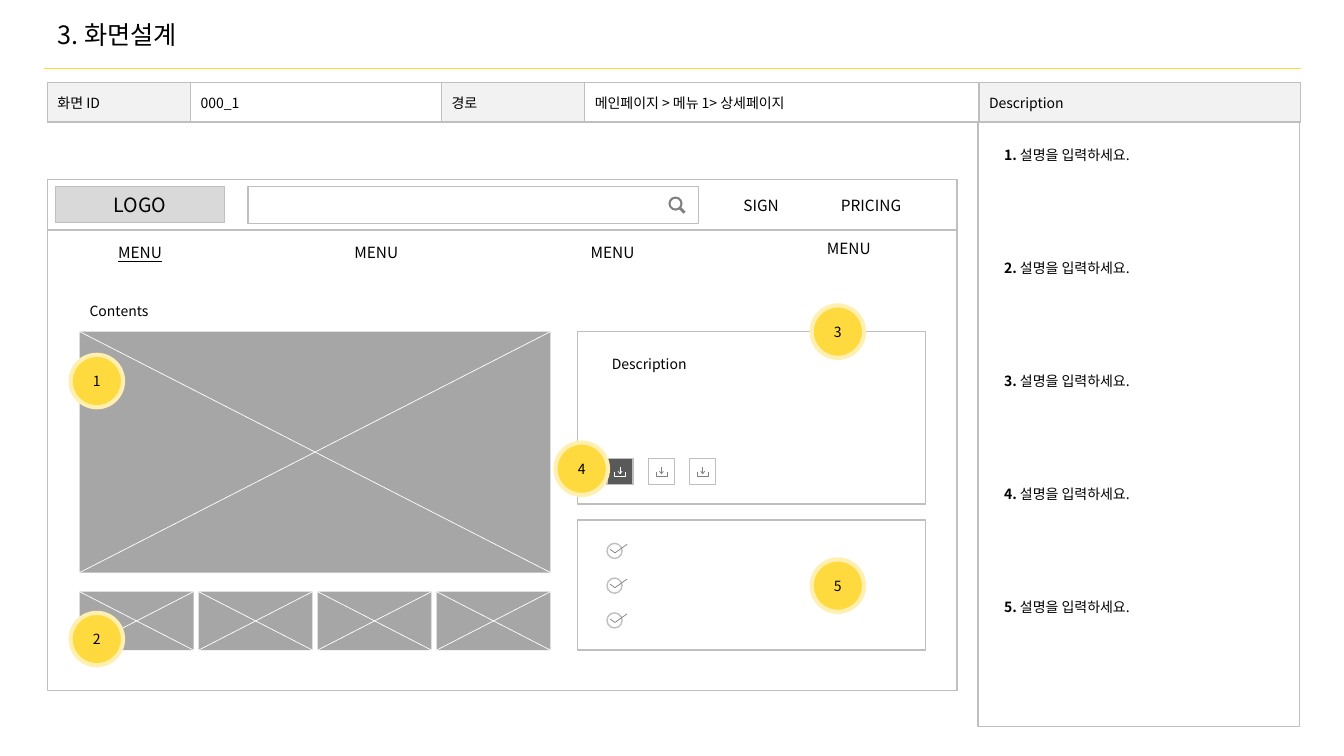
from collections import namedtuple

from lxml import etree
from pptx import Presentation
from pptx.dml.color import RGBColor
from pptx.enum.shapes import MSO_CONNECTOR, MSO_SHAPE
from pptx.enum.text import MSO_ANCHOR, PP_ALIGN
from pptx.oxml.ns import qn
from pptx.util import Inches, Pt

RECT, OVAL, DONUT = MSO_SHAPE.RECTANGLE, MSO_SHAPE.OVAL, MSO_SHAPE.DONUT
STRAIGHT = MSO_CONNECTOR.STRAIGHT
LEFT, CENTER = PP_ALIGN.LEFT, PP_ALIGN.CENTER
TOP, MIDDLE = MSO_ANCHOR.TOP, MSO_ANCHOR.MIDDLE

BLACK = RGBColor(0x00, 0x00, 0x00)
WHITE = RGBColor(0xFF, 0xFF, 0xFF)
YELLOW = RGBColor(0xFF, 0xDA, 0x3F)
CREAM = RGBColor(0xFF, 0xF0, 0xB2)
PALE = RGBColor(0xF2, 0xF2, 0xF2)
LIGHT = RGBColor(0xD9, 0xD9, 0xD9)
BORDER = RGBColor(0xBF, 0xBF, 0xBF)
GRAY = RGBColor(0xA6, 0xA6, 0xA6)
ICON = RGBColor(0x80, 0x80, 0x80)
DARK = RGBColor(0x59, 0x59, 0x59)
FONT = "Noto Sans CJK KR"
CELL = Inches(0.1)


class Box(namedtuple("Box", "x y w h")):
    """An area counted in grid columns and rows."""

    def sub(self, x, y, w, h):
        """Return an area placed from this one's top left corner."""
        return Box(self.x + x, self.y + y, w, h)

    def emu(self):
        """Return left, top, width and height as lengths."""
        return [grid(v) for v in self]


def grid(cells):
    """Turn a count of grid cells into a length."""
    return int(cells * CELL)


def write(tf, text, size, align=LEFT, anchor=MIDDLE):
    """Set and format the text of a frame."""
    tf.text = text
    tf.vertical_anchor = anchor
    tf.paragraphs[0].alignment = align
    return style(tf.paragraphs[0].runs[0], size)


def style(r, size, bold=False):
    """Give a run its font, size and colour."""
    r.font.name, r.font.size, r.font.bold = FONT, Pt(size), bold
    r.font.color.rgb = BLACK
    etree.SubElement(r.font._element, qn("a:ea"), typeface=FONT)
    return r


def label(s, box, text, size=10, align=LEFT, anchor=TOP):
    """Add a wrapped text box and return its run."""
    tf = s.shapes.add_textbox(*box.emu()).text_frame
    tf.word_wrap = True
    return write(tf, text, size, align, anchor)


def paint(sp, fill=None, line=None, width=1):
    """Set fill and outline of a shape, without shadow."""
    sp.shadow.inherit = False
    if fill is None:
        sp.fill.background()
    else:
        sp.fill.solid()
        sp.fill.fore_color.rgb = fill
    if line is None:
        sp.line.fill.background()
    else:
        sp.line.color.rgb, sp.line.width = line, Pt(width)
    return sp


def shape(s, box, kind=RECT, fill=None, line=BORDER, width=1):
    """Add a painted preset shape."""
    return paint(s.shapes.add_shape(kind, *box.emu()), fill, line, width)


def rule(s, x1, y1, x2, y2, color=BORDER, width=1):
    """Add a straight line between two grid points."""
    cn = s.shapes.add_connector(STRAIGHT, *map(grid, (x1, y1, x2, y2)))
    cn.line.color.rgb, cn.line.width = color, Pt(width)
    etree.SubElement(cn._element.spPr, qn("a:effectLst"))


def stroke(s, box, points, color):
    """Draw an open thin outline through points of a box."""
    pts = [(grid(box.x + x), grid(box.y + y)) for x, y in points]
    fb = s.shapes.build_freeform(*pts[0])
    fb.add_line_segments(pts[1:], close=False)
    paint(fb.convert_to_shape(), None, color, 0.5)


def title(s, box):
    """Place the slide title and the line under it."""
    sp = s.shapes.title
    sp.left, sp.top, sp.width, sp.height = box.sub(0.3, 0, 59.5, box.h).emu()
    write(sp.text_frame, "3. 화면설계", 18)
    rule(s, box.x, box.y + box.h, box.x + box.w, box.y + box.h, YELLOW, 0.5)


def info_table(s, box):
    """Add the row that names the screen and its route."""
    gf = s.shapes.add_table(1, 5, *box.emu())
    tbl = gf.table
    tbl.first_row = tbl.horz_banding = False
    texts = "화면 ID", "000_1", "경로", "메인페이지 > 메뉴 1> 상세페이지", "Description"
    for i, (text, cols) in enumerate(zip(texts, (14.2, 24.9, 14.2, 39.1, 31.9))):
        tbl.columns[i].width = grid(cols)
        cell = tbl.cell(0, i)
        write(cell.text_frame, text, 10)
        cell.vertical_anchor = MIDDLE
        cell.fill.solid()
        cell.fill.fore_color.rgb = WHITE if i % 2 else PALE
        for n, side in enumerate(("lnL", "lnR", "lnT", "lnB")):
            ln = etree.Element(qn("a:" + side), w=str(Pt(1)))
            fill = etree.SubElement(ln, qn("a:solidFill"))
            etree.SubElement(fill, qn("a:srgbClr"), val=str(BORDER))
            cell._tc.get_or_add_tcPr().insert(n, ln)


def notes_panel(s, box):
    """List the numbered descriptions."""
    shape(s, box)
    for i in range(5):
        r = label(s, box.sub(1.6, 1.9 + 11.23 * i, 28.8, 2.7), f"{i + 1}. ")
        r.font.bold = True
        tf = s.shapes[-1].text_frame
        tf.paragraphs[0].add_run().text = "설명을 입력하세요."
        style(tf.paragraphs[0].runs[1], 10)


def top_bar(s, box):
    """Draw logo, search field and account links."""
    sp = shape(s, box.sub(0.8, 0.7, 16.8, 3.6), fill=LIGHT)
    write(sp.text_frame, "LOGO", 14, CENTER)
    field = box.sub(19.9, 0.7, 44.7, 3.7)
    shape(s, field)
    lens = field.sub(41.7, 1, 1.4, 1.4)
    shape(s, lens, DONUT, ICON, None).adjustments[0] = 0.15
    rule(s, lens.x + 1.15, lens.y + 1.15, lens.x + 1.6, lens.y + 1.6, ICON, 2)
    for x, text in (64.6, "SIGN"), (75.5, "PRICING"):
        label(s, box.sub(x, 1.1, 12.4, 2.9), text, 11, CENTER, MIDDLE)
    rule(s, box.x, box.y + box.h, box.x + box.w, box.y + box.h)


def menu_bar(s, box):
    """Spread the menu entries, the current one underlined."""
    for i, y in enumerate((0.8, 0.8, 0.8, 0.4)):
        item = box.sub(3 + 23.43 * i, y, 12.4, 2.9)
        r = label(s, item, "MENU", 11, CENTER, MIDDLE)
        r.font.underline = i == 0


def image_box(s, box):
    """Draw a crossed image placeholder."""
    shape(s, box, fill=GRAY, line=None)
    right, bottom = box.x + box.w, box.y + box.h
    rule(s, box.x, bottom, right, box.y, WHITE, 0.5)
    rule(s, right, bottom, box.x, box.y, WHITE, 0.5)


def gallery(s, box):
    """Show the heading, the main image and four thumbnails."""
    label(s, box.sub(0, 0, 16.8, 2.7), "Contents")
    image_box(s, box.sub(0, 3.4, box.w, 23.9))
    for i in range(4):
        image_box(s, box.sub(11.8 * i, 29.2, 11.3, 5.8))


def detail(s, box):
    """Show the description card with its download buttons."""
    shape(s, box)
    label(s, box.sub(2.4, 1.9, 16, 2.7), "Description")
    for i in range(3):
        button = box.sub(2.9 + 4.1 * i, 12.6, 2.6, 2.6)
        shape(s, button, fill=None if i else DARK)
        color = ICON if i else WHITE
        stroke(s, button, [(1.3, 0.8), (1.3, 1.5)], color)
        stroke(s, button, [(1.1, 1.25), (1.3, 1.5), (1.5, 1.25)], color)
        stroke(s, button, [(0.75, 1.3), (0.75, 1.75), (1.85, 1.75), (1.85, 1.3)], color)


def checklist(s, box):
    """Show the card with three check marks."""
    shape(s, box)
    for i in range(3):
        ring = box.sub(2.9, 2.3 + 3.45 * i, 1.5, 1.5)
        shape(s, ring, OVAL)
        stroke(s, ring, [(0.3, 0.6), (0.8, 0.95), (2, 0.1)], ICON)


def badges(s, box):
    """Number the parts of the wireframe."""
    spots = (2.3, 17.4), (2.3, 43), (75.8, 12.5), (50.4, 26.1), (75.8, 37.7)
    for n, (x, y) in enumerate(spots, 1):
        sp = shape(s, box.sub(x, y, 5.2, 5.2), OVAL, YELLOW, CREAM, 3)
        write(sp.text_frame, str(n), 10, CENTER)


def wireframe(s, box):
    """Compose the page sketch."""
    shape(s, box)
    top_bar(s, box.sub(0, 0, box.w, 5))
    menu_bar(s, box.sub(0, 5, box.w, 5))
    gallery(s, box.sub(3.2, 11.7, 46.7, 35))
    detail(s, box.sub(52.6, 15.1, 34.5, 17.1))
    checklist(s, box.sub(52.6, 33.8, 34.5, 12.9))
    badges(s, box)


prs = Presentation()
prs.slide_width, prs.slide_height = Inches(13.33), Inches(7.5)
s = prs.slides.add_slide(prs.slide_layouts[5])
title(s, Box(4.4, 0, 124.6, 6.8))
info_table(s, Box(4.7, 8.2, 124.2, 3.9))
notes_panel(s, Box(97, 12.1, 31.9, 60))
wireframe(s, Box(4.7, 17.8, 90.2, 50.7))
prs.save("out.pptx")
